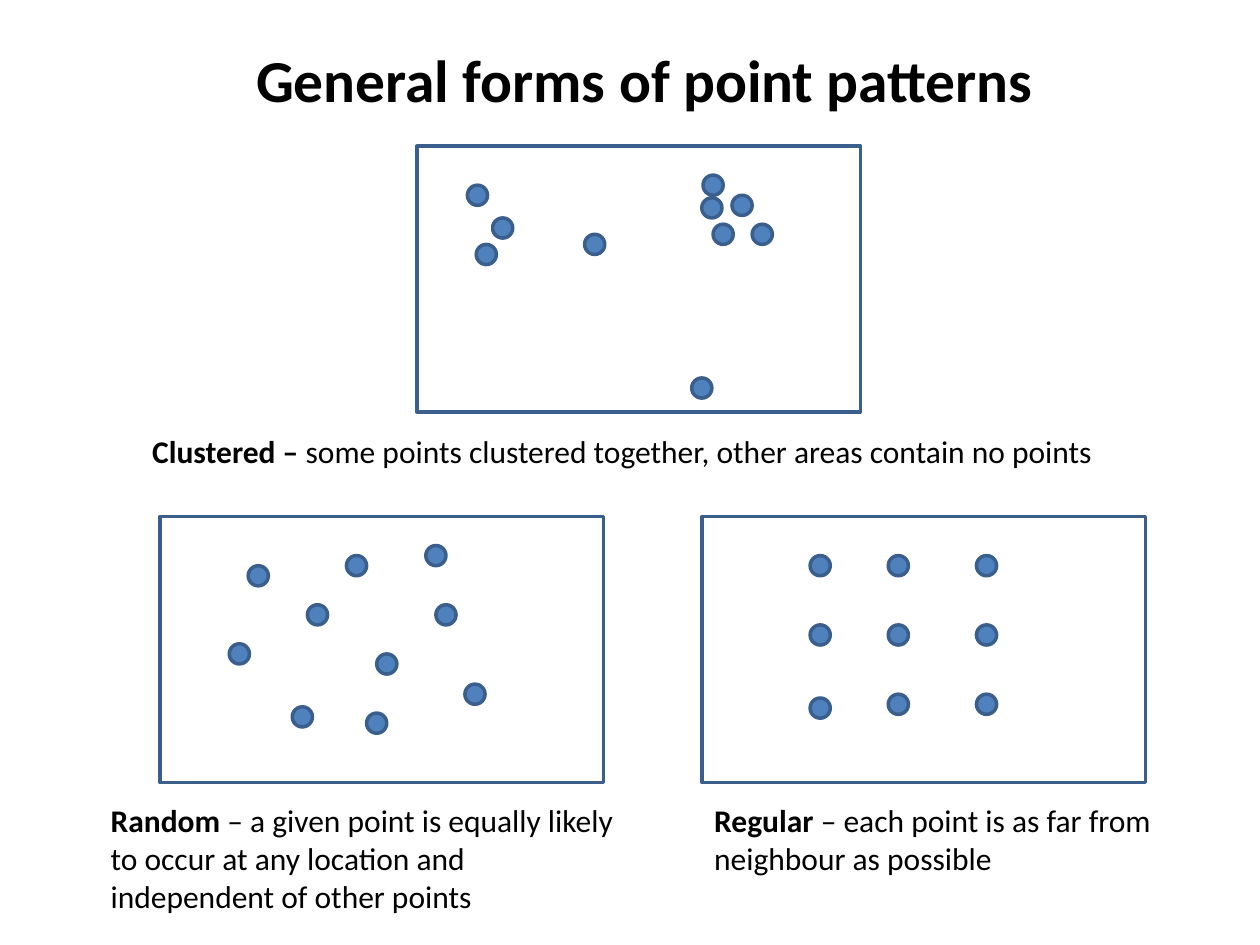
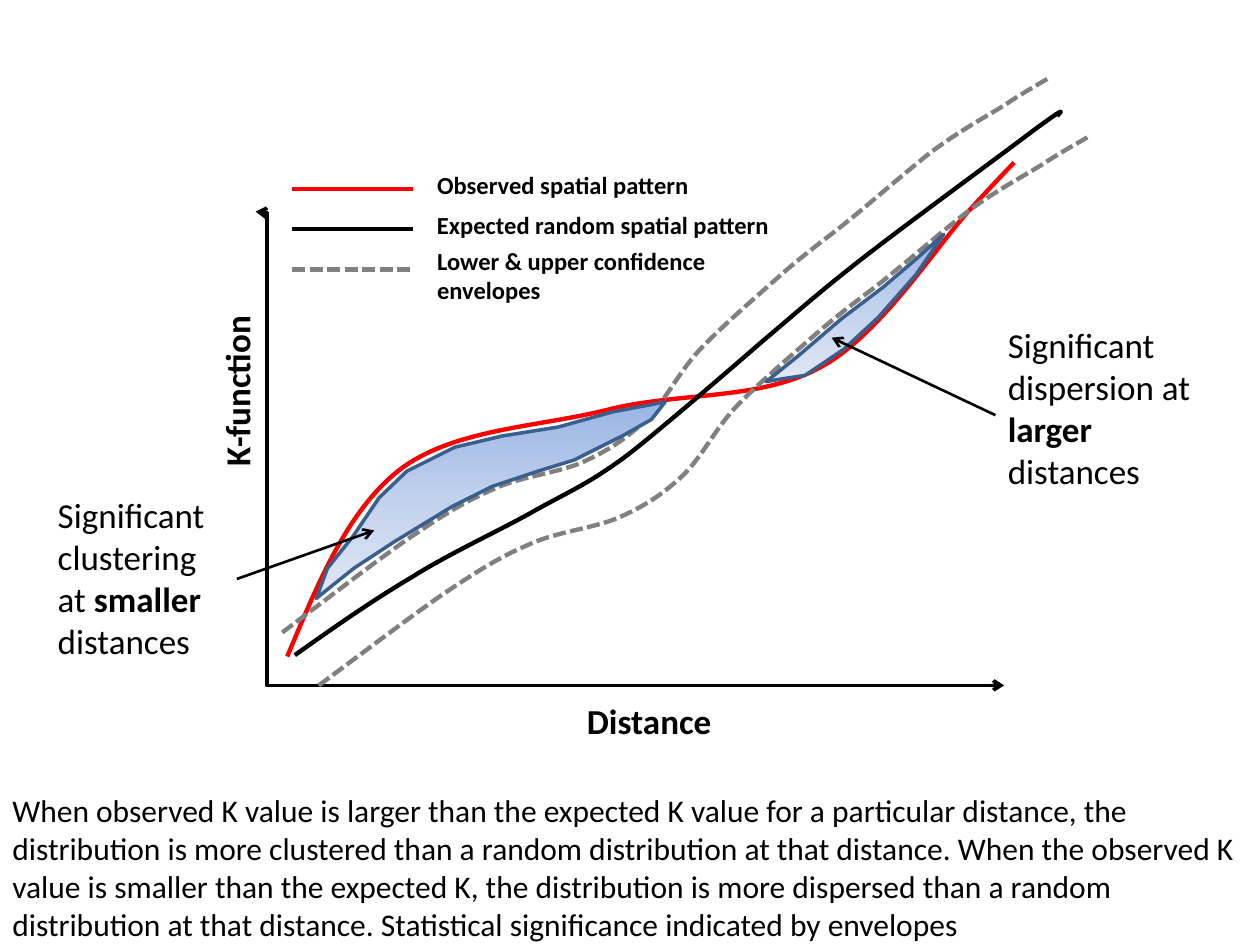
from copy import deepcopy
from itertools import product

from lxml.etree import SubElement
from pptx import Presentation
from pptx.dml.color import RGBColor
from pptx.enum.dml import MSO_LINE
from pptx.enum.shapes import MSO_CONNECTOR, MSO_SHAPE
from pptx.enum.text import MSO_ANCHOR, MSO_AUTO_SIZE, PP_ALIGN
from pptx.oxml.ns import qn
from pptx.util import Inches, Pt

FONT = "Calibri"
BLACK = RGBColor(0x00, 0x00, 0x00)
RED = RGBColor(0xFF, 0x00, 0x00)
GREY = RGBColor(0x80, 0x80, 0x80)
POINT_BLUE = RGBColor(0x4F, 0x81, 0xBD)
OUTLINE_BLUE = RGBColor(0x3A, 0x5F, 0x8C)
AREA_SHADES = (
    RGBColor(0x9A, 0xB5, 0xE4),
    RGBColor(0xC2, 0xD1, 0xED),
    RGBColor(0xE1, 0xE8, 0xF5),
)

PANEL_SIZE = (3.52, 2.11)
POINT_SIZE = 0.16

CLUSTERED = [
    (0.4, 0.31), (0.47, 0.78), (1.33, 0.7), (2.18, 1.84), (0.6, 0.57),
    (2.26, 0.41), (2.66, 0.62), (2.27, 0.23), (2.5, 0.39), (2.35, 0.62),
]
RANDOM = [
    (0.7, 0.39), (0.55, 1.01), (1.17, 0.7), (1.48, 0.31), (1.05, 1.51),
    (1.72, 1.09), (1.64, 1.56), (2.11, 0.23), (2.19, 0.7), (2.42, 1.33),
]
REGULAR = [
    *product((0.86, 1.48, 2.18), (0.31, 0.86)),
    (0.86, 1.44), (1.48, 1.41), (2.18, 1.41),
]

OBSERVED = [
    (0.28, 4.71),
    (0.52, 4.14), (0.75, 3.56), (1.17, 3.23),
    (1.6, 2.9), (2.28, 2.89), (2.83, 2.75),
    (3.39, 2.61), (4.04, 2.68), (4.52, 2.41),
    (5, 2.15), (5.46, 1.41), (5.72, 1.14),
    (5.97, 0.87), (6.01, 0.83), (6.05, 0.79),
]
EXPECTED = [
    (0.34, 4.7),
    (0.65, 4.48), (0.95, 4.27), (1.27, 4.08),
    (1.59, 3.88), (1.97, 3.71), (2.25, 3.55),
    (2.54, 3.39), (2.67, 3.34), (2.97, 3.12),
    (3.27, 2.89), (4.05, 2.21), (4.05, 2.21),
    (4.37, 1.94), (4.5, 1.82), (4.86, 1.54),
    (5.22, 1.26), (5.96, 0.72), (6.21, 0.53),
    (6.47, 0.34), (6.43, 0.38), (6.39, 0.42),
]
UPPER_ENVELOPE = [
    (0.24, 4.52),
    (0.6, 4.25), (0.95, 3.98), (1.22, 3.79),
    (1.5, 3.6), (1.67, 3.49), (1.9, 3.39),
    (2.13, 3.28), (2.41, 3.26), (2.62, 3.17),
    (2.82, 3.08), (2.96, 2.99), (3.12, 2.84),
    (3.28, 2.69), (3.38, 2.46), (3.56, 2.27),
    (3.74, 2.08), (4.02, 1.84), (4.2, 1.68),
    (4.37, 1.53), (4.61, 1.35), (4.61, 1.35),
    (4.82, 1.19), (5.18, 0.87), (5.4, 0.7),
    (5.63, 0.53), (5.82, 0.43), (5.98, 0.33),
    (6.13, 0.23), (6.24, 0.17), (6.34, 0.11),
]
ENVELOPE_SHIFT = 0.29
ENVELOPE_DROP = 0.48
ENVELOPE_STRETCH = 4.35 / 4.41
LOWER_ENVELOPE = [
    (x + ENVELOPE_SHIFT, 0.11 + ENVELOPE_DROP + (y - 0.11) * ENVELOPE_STRETCH)
    for x, y in UPPER_ENVELOPE
]

CLUSTERING_AREA = [
    (0.51, 4.25), (0.81, 4.01), (1.13, 3.8), (1.59, 3.52), (1.91, 3.36),
    (2.27, 3.24), (2.56, 3.15), (2.94, 2.96), (3.17, 2.83), (3.28, 2.69),
    (2.86, 2.77), (2.43, 2.89), (1.99, 2.96), (1.61, 3.05), (1.23, 3.24),
    (1.01, 3.45), (0.8, 3.76), (0.6, 4.01),
]
DISPERSION_AREA = [
    (4.08, 2.53), (4.33, 2.33), (4.68, 2.03), (5.01, 1.78), (5.29, 1.54),
    (5.49, 1.36), (5.27, 1.68), (4.97, 2.02), (4.7, 2.27), (4.39, 2.48),
    (4.19, 2.51),
]


def add_text(host, box, pieces, size, wrap=True):
    label = host.shapes.add_textbox(*map(Inches, box))
    frame = label.text_frame
    frame.word_wrap = wrap
    frame.auto_size = MSO_AUTO_SIZE.SHAPE_TO_FIT_TEXT
    for text, bold in pieces:
        run = frame.paragraphs[0].add_run()
        run.text = text
        run.font.name = FONT
        run.font.size = Pt(size)
        run.font.bold = bold
        run.font.color.rgb = BLACK
    return label


def style_line(line, color, width, dashed=False):
    line.color.rgb = color
    line.width = Pt(width)
    if dashed:
        line.dash_style = MSO_LINE.SQUARE_DOT


def add_line(host, start, end, color, width, dashed=False, arrows=(),
             kind=MSO_CONNECTOR.STRAIGHT):
    connector = host.shapes.add_connector(kind, *map(Inches, (*start, *end)))
    style_line(connector.line, color, width, dashed)
    properties = connector._element.spPr
    for arrow in arrows:
        SubElement(properties.find(qn("a:ln")), qn(f"a:{arrow}"), type="arrow")
    SubElement(properties, qn("a:effectLst"))
    return connector


def add_preset(host, preset, box, fill=None):
    shape = host.shapes.add_shape(preset, *map(Inches, box))
    shape.shadow.inherit = False
    style_line(shape.line, OUTLINE_BLUE, 2)
    if fill is None:
        shape.fill.background()
    else:
        shape.fill.solid()
        shape.fill.fore_color.rgb = fill


def add_outline(host, origin, points, close):
    left, top = origin
    vertices = [(Inches(left + x), Inches(top + y)) for x, y in points]
    builder = host.shapes.build_freeform(*vertices[0])
    builder.add_line_segments(vertices[1:], close=close)
    outline = builder.convert_to_shape()
    outline.shadow.inherit = False
    return outline


def bend_segments(outline):
    trail = outline._element.spPr.find(".//" + qn("a:path"))
    segments = trail.findall(qn("a:lnTo"))
    for first in range(0, len(segments), 3):
        bend = SubElement(trail, qn("a:cubicBezTo"))
        for segment in segments[first:first + 3]:
            bend.append(segment[0])
            trail.remove(segment)


def add_curve(host, origin, controls, color, dashed=False):
    curve = add_outline(host, origin, controls, close=False)
    bend_segments(curve)
    curve.fill.background()
    style_line(curve.line, color, 2.5, dashed)


def add_area(host, origin, points):
    area = add_outline(host, origin, points, close=True)
    style_line(area.line, OUTLINE_BLUE, 2)
    area.fill.gradient()
    area.fill.gradient_angle = 270
    stop_list = area._element.spPr.find(".//" + qn("a:gsLst"))
    stop_list.insert(1, deepcopy(stop_list[0]))
    for stop, position, shade in zip(area.fill.gradient_stops, (0, 0.5, 1), AREA_SHADES):
        stop.position = position
        stop.color.rgb = shade


def add_title(slide, box, text):
    title = add_text(slide, box, [(text, True)], 34)
    title.text_frame.auto_size = MSO_AUTO_SIZE.NONE
    title.text_frame.vertical_anchor = MSO_ANCHOR.MIDDLE
    title.text_frame.paragraphs[0].alignment = PP_ALIGN.CENTER


def add_pattern(slide, left, top, points, caption_box, caption, wrap=True):
    add_preset(slide, MSO_SHAPE.RECTANGLE, (left, top, *PANEL_SIZE))
    for x, y in points:
        add_preset(slide, MSO_SHAPE.FLOWCHART_CONNECTOR,
                   (left + x, top + y, POINT_SIZE, POINT_SIZE), POINT_BLUE)
    dx, dy, width, height = caption_box
    add_text(slide, (left + dx, top + dy, width, height), caption, 18, wrap)


def add_legend(host, left, top):
    entries = [
        ("Observed spatial pattern", RED, 2.25, False, (-0.2, 2.41, 0.36)),
        ("Expected random spatial pattern", BLACK, 2.5, False, (-0.2, 3.23, 0.36)),
        ("Lower & upper confidence envelopes", GREY, 2.5, True, (-0.24, 2.65, 0.61)),
    ]
    for row, (text, color, line_width, dashed, (rise, width, height)) in enumerate(entries):
        y = top + row * 0.32
        add_line(host, (left, y), (left + 0.96, y), color, line_width, dashed)
        add_text(host, (left + 1.05, y + rise, width, height), [(text, True)], 14)


def add_axes(host, left, top):
    axes = add_line(host, (left + 0.03, top + 1.18), (left + 5.97, top + 4.94), BLACK, 2,
                    arrows=("headEnd", "tailEnd"), kind=MSO_CONNECTOR.ELBOW)
    geometry = axes._element.spPr.find(qn("a:prstGeom"))
    adjustments = geometry.find(qn("a:avLst"))
    if adjustments is None:
        adjustments = SubElement(geometry, qn("a:avLst"))
    SubElement(adjustments, qn("a:gd"), name="adj1", fmla="val 1500")
    add_text(host, (left + 2.56, top + 5, 1.74, 0.47), [("Distance", True)], 20)
    vertical = add_text(host, (left - 1.14, top + 2.09, 2.01, 0.41), [("K-function", True)], 20)
    vertical.rotation = 270


def add_callout(host, origin, box, pieces, side, target):
    left, top = origin
    dx, dy, width, height = box
    note = add_text(host, (left + dx, top + dy, width, height), pieces, 20)
    tip = (left + target[0], top + target[1])
    pointer = add_line(host, tip, tip, BLACK, 1.5, arrows=("tailEnd",))
    pointer.begin_connect(note, side)


def add_k_function_diagram(slide, left, top):
    origin = (left, top)
    diagram = slide.shapes.add_group_shape()
    add_axes(diagram, left, top)
    add_curve(diagram, origin, OBSERVED, RED)
    add_curve(diagram, origin, EXPECTED, BLACK)
    for envelope in (UPPER_ENVELOPE, LOWER_ENVELOPE):
        add_curve(diagram, origin, envelope, GREY, dashed=True)
    add_legend(diagram, left + 0.32, top + 1)
    for area in (CLUSTERING_AREA, DISPERSION_AREA):
        add_area(diagram, origin, area)
    add_callout(diagram, origin, (-1.64, 3.37, 1.52, 1.45),
                [("Significant clustering at ", False), ("smaller ", True), ("distances", False)],
                3, (0.97, 3.71))
    add_callout(diagram, origin, (5.9, 2.02, 1.74, 1.55),
                [("Significant dispersion at ", False), ("larger ", True), ("distances", False)],
                1, (4.6, 2.18))


def build_patterns_slide(slide):
    add_title(slide, (0.23, 0, 9.77, 1.25), "General forms of point patterns")
    add_pattern(slide, 1.27, 4.1, RANDOM, (-0.49, 2.21, 4.25, 1.01),
                [("Random ", True),
                 ("– a given point is equally likely to occur at any location and "
                  "independent of other points", False)])
    add_pattern(slide, 3.31, 1.16, CLUSTERED, (-2.2, 2.22, 7.85, 0.4),
                [("Clustered – ", True),
                 ("some points clustered together, other areas contain no points", False)],
                wrap=False)
    add_pattern(slide, 5.57, 4.1, REGULAR, (0, 2.21, 4.25, 0.71),
                [("Regular ", True),
                 ("– each point is as far from neighbour as possible", False)])


def build_k_function_slide(slide):
    add_k_function_diagram(slide, 2, 0.5)
    add_text(slide, (0, 6.23, 10, 1.31), [(
        "When observed K value is larger than the expected K value for a particular distance, "
        "the distribution is more clustered than a random distribution at that distance. "
        "When the observed K value is smaller than the expected K, the distribution is more "
        "dispersed than a random distribution at that distance. Statistical significance "
        "indicated by envelopes", False)], 18)


def main():
    presentation = Presentation()
    presentation.slide_width = Inches(10)
    presentation.slide_height = Inches(7.5)
    blank = presentation.slide_layouts[6]
    for build in (build_patterns_slide, build_k_function_slide):
        build(presentation.slides.add_slide(blank))
    presentation.save("out.pptx")


if __name__ == "__main__":
    main()
